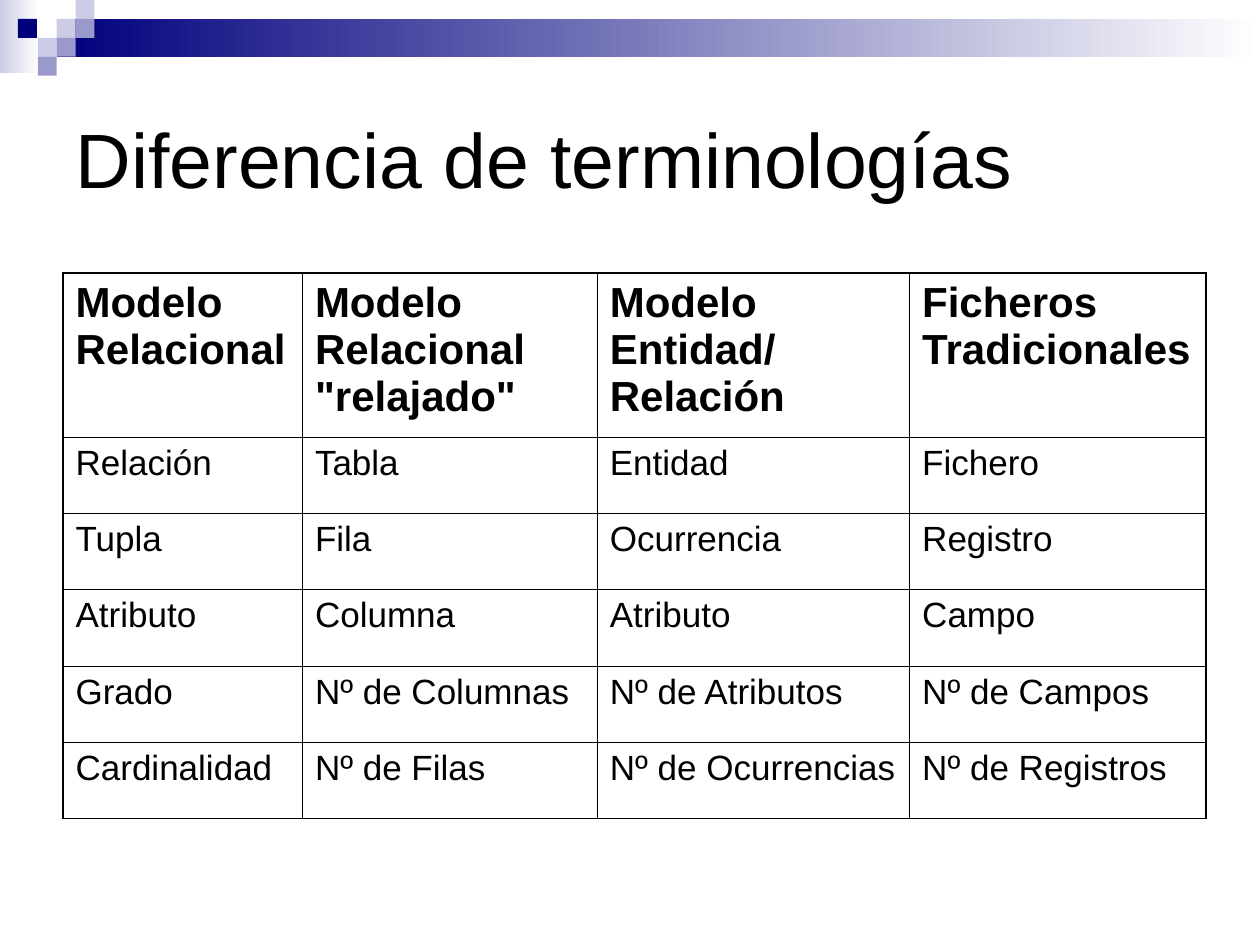
from lxml import etree
from pptx import Presentation
from pptx.dml.color import RGBColor
from pptx.enum.shapes import MSO_SHAPE
from pptx.enum.text import MSO_ANCHOR, MSO_AUTO_SIZE, PP_ALIGN
from pptx.oxml.ns import qn
from pptx.util import Pt

RECTANGLE = MSO_SHAPE.RECTANGLE
MIDDLE = MSO_ANCHOR.MIDDLE
LEFT = PP_ALIGN.LEFT
NO_AUTOFIT = MSO_AUTO_SIZE.NONE

BLACK = RGBColor(0x00, 0x00, 0x00)
WHITE = RGBColor(0xFF, 0xFF, 0xFF)
NAVY = RGBColor(0x00, 0x00, 0x7D)
LAVENDER = RGBColor(0xCC, 0xCC, 0xE6)
PERIWINKLE = RGBColor(0x99, 0x99, 0xCC)

FONT = "Arial"
TITLE = "Diferencia de terminologías"
TERMS = [
    ["Modelo Relacional", 'Modelo Relacional "relajado"', "Modelo Entidad/ Relación", "Ficheros Tradicionales"],
    ["Relación", "Tabla", "Entidad", "Fichero"],
    ["Tupla", "Fila", "Ocurrencia", "Registro"],
    ["Atributo", "Columna", "Atributo", "Campo"],
    ["Grado", "Nº de Columnas", "Nº de Atributos", "Nº de Campos"],
    ["Cardinalidad", "Nº de Filas", "Nº de Ocurrencias", "Nº de Registros"],
]
COLUMN_WIDTHS = [136.8, 168.5, 178.5, 169.2]
HEADER_HEIGHT, ROW_HEIGHT = 93.6, 43.6
TABLE_LEFT, TABLE_TOP = 36, 156.2
OUTER_LINE, INNER_LINE = 1.08, 0.45

SQUARE = 10.8
BANDS = [(0, 0, 22.3, 41.8, LAVENDER), (32.4, SQUARE, 687.6, 21.6, NAVY)]
SQUARES = [
    (3, 1, LAVENDER),
    (4, 0, LAVENDER),
    (4, 1, PERIWINKLE),
    (2, 2, LAVENDER),
    (0.95, 1, NAVY),
    (3, 2, PERIWINKLE),
    (2, 3, PERIWINKLE),
]


def add_rectangle(slide, left, top, width, height):
    shape = slide.shapes.add_shape(RECTANGLE, Pt(left), Pt(top), Pt(width), Pt(height))
    shape.shadow.inherit = False
    shape.line.fill.background()
    return shape


def add_decoration(slide):
    for left, top, width, height, color in BANDS:
        fill = add_rectangle(slide, left, top, width, height).fill
        fill.gradient()
        fill.gradient_angle = 0
        for stop, stop_color in zip(fill.gradient_stops, (color, WHITE)):
            stop.color.rgb = stop_color
    for column, row, color in SQUARES:
        fill = add_rectangle(slide, column * SQUARE, row * SQUARE, SQUARE, SQUARE).fill
        fill.solid()
        fill.fore_color.rgb = color


def format_font(font, size, bold=False):
    font.name = FONT
    font.size = Pt(size)
    font.bold = bold
    font.color.rgb = BLACK


def add_title(slide):
    title = slide.shapes.title
    title.left, title.top, title.width, title.height = Pt(36), Pt(36), Pt(648), Pt(108)
    frame = title.text_frame
    frame.text = TITLE
    frame.word_wrap = True
    frame.auto_size = NO_AUTOFIT
    frame.vertical_anchor = MIDDLE
    frame.paragraphs[0].alignment = LEFT
    format_font(frame.paragraphs[0].runs[0].font, 44)


def set_borders(cell, outer_edges):
    properties = cell._tc.get_or_add_tcPr()
    for edge, outer in zip("LRTB", outer_edges):
        width = Pt(OUTER_LINE if outer else INNER_LINE)
        line = etree.SubElement(properties, qn(f"a:ln{edge}"), w=str(width))
        fill = etree.SubElement(line, qn("a:solidFill"))
        etree.SubElement(fill, qn("a:srgbClr"), val=str(BLACK))


def add_terms_table(slide):
    heights = [HEADER_HEIGHT] + [ROW_HEIGHT] * (len(TERMS) - 1)
    table = slide.shapes.add_table(
        len(TERMS), len(COLUMN_WIDTHS), Pt(TABLE_LEFT), Pt(TABLE_TOP),
        Pt(sum(COLUMN_WIDTHS)), Pt(sum(heights)),
    ).table
    table.first_row = False
    table.horz_banding = False
    for column, width in zip(table.columns, COLUMN_WIDTHS):
        column.width = Pt(width)
    last_row, last_column = len(TERMS) - 1, len(COLUMN_WIDTHS) - 1
    for row_index, terms in enumerate(TERMS):
        table.rows[row_index].height = Pt(heights[row_index])
        is_header = row_index == 0
        for column_index, term in enumerate(terms):
            cell = table.cell(row_index, column_index)
            set_borders(cell, (column_index == 0, column_index == last_column,
                               is_header, row_index == last_row))
            cell.fill.background()
            cell.text_frame.text = term
            run = cell.text_frame.paragraphs[0].runs[0]
            format_font(run.font, 24 if is_header else 20, is_header)


def main():
    presentation = Presentation()
    presentation.slide_width, presentation.slide_height = Pt(720), Pt(540)
    slide = presentation.slides.add_slide(presentation.slide_layouts.get_by_name("Title Only"))
    add_decoration(slide)
    add_title(slide)
    add_terms_table(slide)
    presentation.save("out.pptx")


if __name__ == "__main__":
    main()
